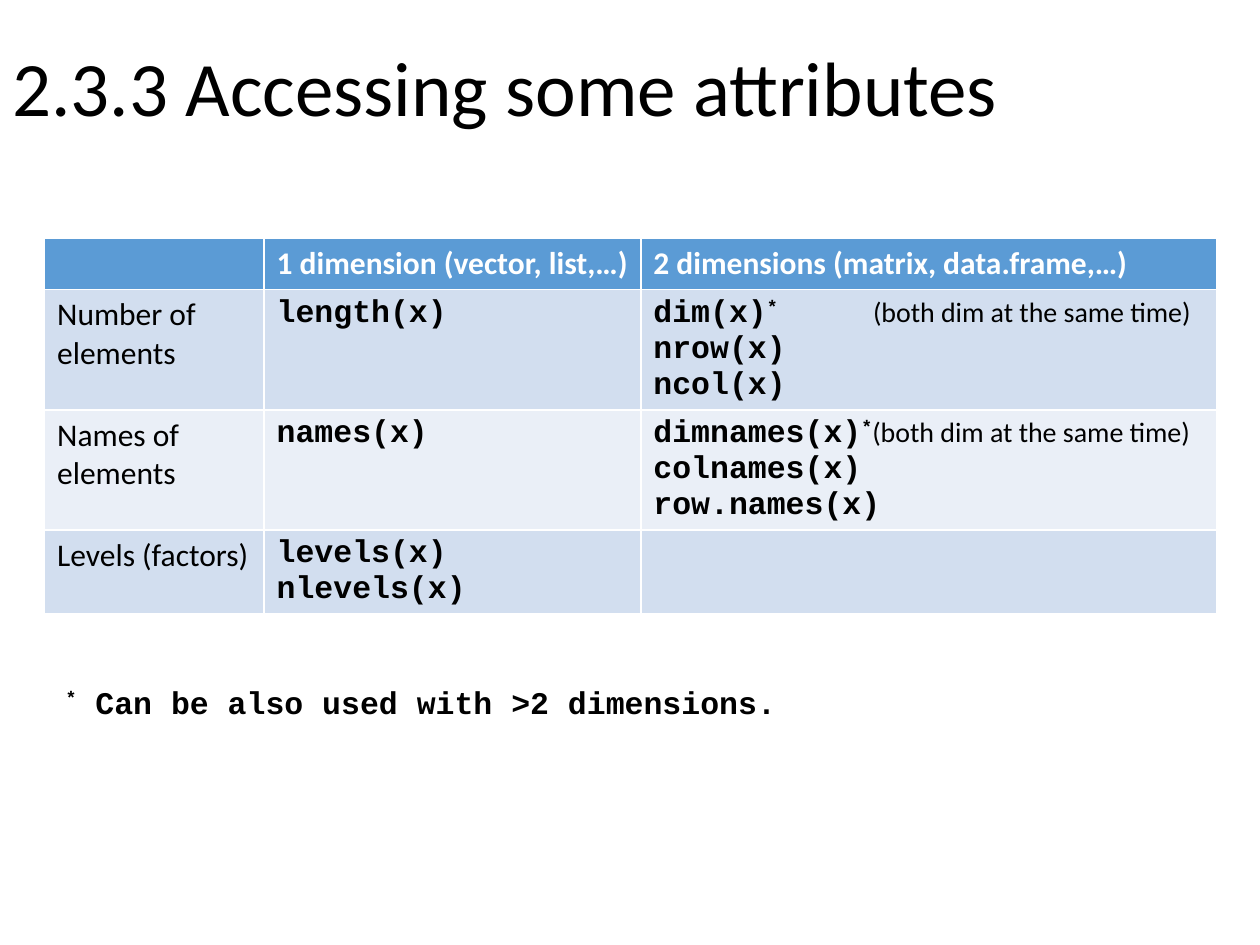
import pptx
import pptx.util
import pptx.dml.color
import pptx.enum.text
import lxml.etree
import pptx.oxml.ns

Pt = pptx.util.Pt
COLORS = {"text": "000000", "header_text": "FFFFFF", "header": "5B9BD5",
          "odd_row": "D2DEEF", "even_row": "EAEFF7"}
CODE = {"font": "Courier New", "bold": True}
STAR = {**CODE, "raised": True}
NOTE = {"size": 16}


def add_span(para, text, font="Calibri", size=18, bold=False, color="text", raised=False):
    span = para.add_run()
    span.text = text
    span.font.name = font
    span.font.size = Pt(size)
    span.font.bold = bold
    span.font.color.rgb = pptx.dml.color.RGBColor.from_string(COLORS[color])
    if raised:
        span._r.get_or_add_rPr().set("baseline", "30000")


deck = pptx.Presentation()
deck.slide_width, deck.slide_height = Pt(720), Pt(540)
page = deck.slides.add_slide(deck.slide_layouts[5])

# Title
title = page.shapes.title
title.left, title.top, title.width, title.height = Pt(0), Pt(0), Pt(720), Pt(104.4)
title.text_frame.vertical_anchor = pptx.enum.text.MSO_ANCHOR.MIDDLE
para = title.text_frame.paragraphs[0]
para.alignment = pptx.enum.text.PP_ALIGN.LEFT
para.line_spacing = 0.9
add_span(para, "2.3.3 Accessing some attributes", size=44)

# Table contents: each cell is a list of lines, each line a list of (text, format)
HEADER = {"bold": True, "color": "header_text"}
both = "(both dim at the same time)"
rows = [
    [[], [[("1 dimension (vector, list,…)", HEADER)]],
     [[("2 dimensions (matrix, data.frame,…)", HEADER)]]],
    [[[("Number of elements", {})]], [[("length(x)", CODE)]],
     [[("dim(x)", CODE), ("*", STAR), ("\t" + both, NOTE)],
      [("nrow(x)", CODE)], [("ncol(x)", CODE)]]],
    [[[("Names of elements", {})]], [[("names(x)", CODE)]],
     [[("dimnames(x)", CODE), ("*", STAR), (both, NOTE)],
      [("colnames(x)", CODE)], [("row.names(x)", CODE)]]],
    [[[("Levels (factors)", {})]],
     [[("levels(x)", CODE)], [("nlevels(x)", CODE)]], []],
]
row_fills = ["header", "odd_row", "even_row", "odd_row"]

# Table: rows grow to fit their lines
row_height = 29.2
table = page.shapes.add_table(len(rows), 3, Pt(25.5), Pt(136.3), Pt(669.6),
                              Pt(row_height * len(rows))).table
for column, width in zip(table.columns, [125.4, 215.3, 328.9]):
    column.width = Pt(width)
for row_index, (row, fill) in enumerate(zip(rows, row_fills)):
    table.rows[row_index].height = Pt(row_height)
    for column_index, lines in enumerate(row):
        cell = table.cell(row_index, column_index)
        cell.fill.solid()
        cell.fill.fore_color.rgb = pptx.dml.color.RGBColor.from_string(COLORS[fill])
        for line_index, line in enumerate(lines):
            frame = cell.text_frame
            para = frame.paragraphs[0] if line_index == 0 else frame.add_paragraph()
            # Tab stop that lines the note up with the one in the next row
            if any("\t" in text for text, _ in line):
                tabs = lxml.etree.SubElement(para._p.get_or_add_pPr(),
                                             pptx.oxml.ns.qn("a:tabLst"))
                lxml.etree.SubElement(tabs, pptx.oxml.ns.qn("a:tab"),
                                      pos=str(Pt(125.5)), algn="l")
            for text, style in line:
                add_span(para, text, **style)

# Footnote
box = page.shapes.add_textbox(Pt(30.4), Pt(386.6), Pt(423.4), Pt(29))
box.text_frame.word_wrap = True
para = box.text_frame.paragraphs[0]
add_span(para, "*", **STAR)
add_span(para, " Can be also used with >2 dimensions.", **CODE)

deck.save("out.pptx")
